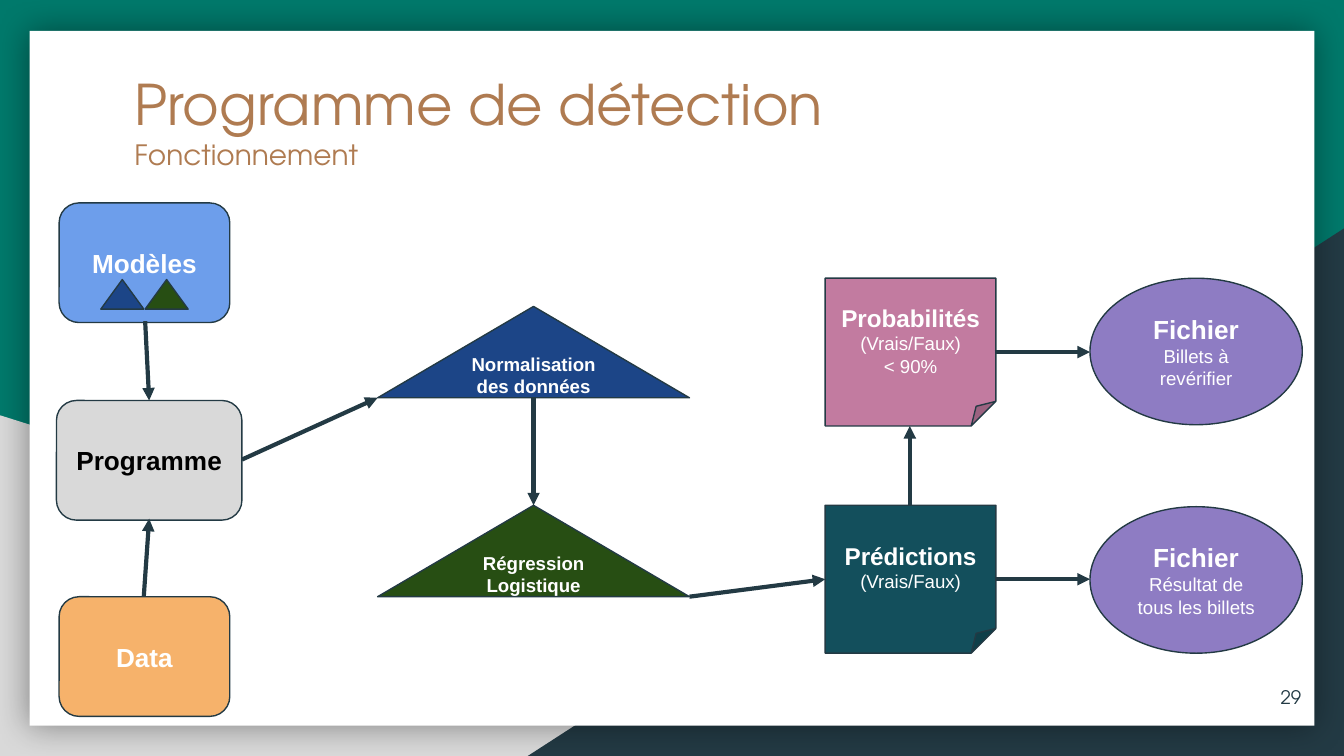
"""Build the slide that shows how the detection program works."""
from dataclasses import dataclass

import pptx
import pptx.dml.color
import pptx.enum.shapes
import pptx.enum.text
import pptx.oxml
import pptx.oxml.ns
import pptx.util

Inches = pptx.util.Inches
Kind = pptx.enum.shapes.MSO_SHAPE
Align = pptx.enum.text.PP_ALIGN
Anchor = pptx.enum.text.MSO_ANCHOR
Box = tuple[float, float, float, float]
Point = tuple[float, float]


@dataclass(frozen=True)
class Theme:
    """Colours, fonts and type sizes."""
    green: str = "00796B"
    gray: str = "D9D9D9"
    ink: str = "233A44"
    white: str = "FFFFFF"
    black: str = "000000"
    bronze: str = "AF7B51"
    sky: str = "6D9EEB"
    orange: str = "F6B26B"
    navy: str = "1C4587"
    forest: str = "274E13"
    teal: str = "134F5C"
    pink: str = "C27BA0"
    violet: str = "8E7CC3"
    head: str = "TeX Gyre Adventor"
    body: str = "Arial"
    title: float = 30
    sub: float = 15
    large: float = 14
    note: float = 13
    small: float = 10
    edge: float = 0.75
    arrow: float = 2.25


@dataclass(frozen=True)
class Line:
    """One paragraph of text."""
    text: str
    size: float
    bold: bool = False
    color: str = Theme.white
    font: str = Theme.body


@dataclass(frozen=True)
class Node:
    """One shape of the flow."""
    kind: Kind
    box: Box
    fill: str
    lines: tuple[Line, ...] = ()


@dataclass(frozen=True)
class Arrow:
    """One link of the flow."""
    start: Point
    end: Point


T = Theme()
LEFT, SIDE = 0.44, 1.27
PEAK, WIDE = 2.81, 2.32
CARD, OVAL = 6.14, 8.11
HIGH, LOW = 2.07, 3.76
MID = PEAK + WIDE / 2
SMALL = Line("(Vrais/Faux)", T.small)
FILE = Line("Fichier", T.large, True)

BACK = (
    Node(Kind.RIGHT_TRIANGLE, (0, 3.09, 8.06, 2.54), T.gray),
    Node(Kind.RIGHT_TRIANGLE, (3.92, 1.7, 6.08, 3.93), T.ink),
    Node(Kind.RECTANGLE, (0.22, 0.23, 9.56, 5.17), T.white),
)
NODES = (
    Node(Kind.ROUNDED_RECTANGLE, (0.42, 2.98, 1.38, 0.89), T.gray,
         (Line("Programme", T.large, True, T.black),)),
    Node(Kind.ROUNDED_RECTANGLE, (LEFT, 1.51, SIDE, 0.89), T.sky,
         (Line("Modèles", T.large, True),)),
    Node(Kind.ROUNDED_RECTANGLE, (LEFT, 4.44, SIDE, 0.89), T.orange,
         (Line("Data", T.large, True),)),
    Node(Kind.ISOSCELES_TRIANGLE, (PEAK, LOW, WIDE, 0.68), T.forest,
         (Line("Régression Logistique", T.small, True),)),
    Node(Kind.ISOSCELES_TRIANGLE, (1.08, 2.08, 0.32, 0.22), T.forest),
    Node(Kind.ISOSCELES_TRIANGLE, (0.75, 2.08, 0.32, 0.22), T.navy),
    Node(Kind.ISOSCELES_TRIANGLE, (PEAK, 2.28, WIDE, 0.68), T.navy,
         (Line("Normalisation des données", T.small, True),)),
    Node(Kind.FOLDED_CORNER, (CARD, LOW, SIDE, 1.1), T.teal,
         (Line("Prédictions", T.note, True), SMALL)),
    Node(Kind.FOLDED_CORNER, (CARD, HIGH, SIDE, 1.1), T.pink,
         (Line("Probabilités", T.note, True), SMALL, Line("< 90%", T.small))),
    Node(Kind.OVAL, (OVAL, 3.77, 1.58, 1.09), T.violet,
         (FILE, Line("Résultat de tous les billets", T.small))),
    Node(Kind.OVAL, (OVAL, HIGH, 1.58, 1.09), T.violet,
         (FILE, Line("Billets à revérifier", T.small))),
)
ARROWS = (
    Arrow((1.07, 4.44), (1.11, 3.86)),
    Arrow((1.08, 2.39), (1.11, 2.98)),
    Arrow((1.8, 3.42), (PEAK, 2.96)),
    Arrow((MID, 2.96), (MID, LOW)),
    Arrow((PEAK + WIDE, 4.44), (CARD, 4.31)),
    Arrow((6.77, LOW), (6.77, 3.17)),
    Arrow((7.4, 2.62), (OVAL, 2.62)),
    Arrow((7.4, 4.31), (OVAL, 4.31)),
)


def tint(code: str) -> pptx.dml.color.RGBColor:
    """Turn a hex code into a colour."""
    return pptx.dml.color.RGBColor.from_string(code)


def write(shape, lines: tuple[Line, ...], align: Align, anchor: Anchor) -> None:
    """Fill a text frame run by run."""
    frame = shape.text_frame
    frame.word_wrap = True
    frame.auto_size = pptx.enum.text.MSO_AUTO_SIZE.NONE
    frame.vertical_anchor = anchor
    frame.margin_left = frame.margin_right = Inches(0.1)
    frame.margin_top = frame.margin_bottom = Inches(0.1)
    for rank, line in enumerate(lines):
        para = frame.add_paragraph() if rank else frame.paragraphs[0]
        para.alignment = align
        para.line_spacing = 1.0
        para.space_before = pptx.util.Pt(0)
        run = para.add_run()
        run.text = line.text
        run.font.name = line.font
        run.font.size = pptx.util.Pt(line.size)
        run.font.bold = line.bold
        run.font.color.rgb = tint(line.color)


def draw(slide, node: Node, edge: bool = True):
    """Draw one shape with its text."""
    shape = slide.shapes.add_shape(node.kind, *map(Inches, node.box))
    shape.shadow.inherit = False
    shape.fill.solid()
    shape.fill.fore_color.rgb = tint(node.fill)
    if edge:
        shape.line.color.rgb = tint(T.ink)
        shape.line.width = pptx.util.Pt(T.edge)
    else:
        shape.line.fill.background()
    if node.lines:
        write(shape, node.lines, Align.CENTER, Anchor.MIDDLE)
    return shape


def link(slide, arrow: Arrow) -> None:
    """Draw one arrow."""
    line = slide.shapes.add_connector(
        pptx.enum.shapes.MSO_CONNECTOR.STRAIGHT,
        *map(Inches, arrow.start + arrow.end))
    line.line.color.rgb = tint(T.ink)
    line.line.width = pptx.util.Pt(T.arrow)
    tip = pptx.oxml.parse_xml(
        f'<a:tailEnd {pptx.oxml.ns.nsdecls("a")} type="triangle"/>')
    line.element.spPr.find(pptx.oxml.ns.qn("a:ln")).append(tip)
    line.element.spPr.append(pptx.oxml.parse_xml(
        f'<a:effectLst {pptx.oxml.ns.nsdecls("a")}/>'))


def glow(shape) -> None:
    """Add a soft shadow on all sides."""
    props = shape.element.spPr
    props.remove(props.find(pptx.oxml.ns.qn("a:effectLst")))
    props.append(pptx.oxml.parse_xml(
        f'<a:effectLst {pptx.oxml.ns.nsdecls("a")}>'
        f'<a:outerShdw blurRad="{pptx.util.Pt(18)}" dist="0" dir="0" algn="ctr" '
        f'rotWithShape="0"><a:srgbClr val="{T.black}"><a:alpha val="40000"/>'
        '</a:srgbClr></a:outerShdw></a:effectLst>'))


def main() -> None:
    """Build and save the slide."""
    deck = pptx.Presentation()
    deck.slide_width = Inches(10)
    deck.slide_height = deck.slide_width * 9 // 16
    slide = deck.slides.add_slide(deck.slide_layouts[5])
    slide.background.fill.solid()
    slide.background.fill.fore_color.rgb = tint(T.green)
    _, slope, panel = [draw(slide, node, False) for node in BACK]
    slope.element.spPr.xfrm.set("flipH", "1")
    glow(panel)
    title = slide.shapes.title
    title.left, title.top, title.width, title.height = map(
        Inches, (0.9, 0.42, 8.21, 1.04))
    title.element.getparent().append(title.element)
    write(title, (
        Line("Programme de détection", T.title, False, T.bronze, T.head),
        Line("Fonctionnement", T.sub, False, T.bronze, T.head),
    ), Align.LEFT, Anchor.TOP)
    for node in NODES:
        draw(slide, node)
    for arrow in ARROWS:
        link(slide, arrow)
    page = slide.shapes.add_textbox(*map(Inches, (9.18, 4.97, 0.6, 0.43)))
    write(page, (Line("29", T.small, False, T.ink, T.head),),
          Align.RIGHT, Anchor.MIDDLE)
    deck.save("out.pptx")


if __name__ == "__main__":
    main()
